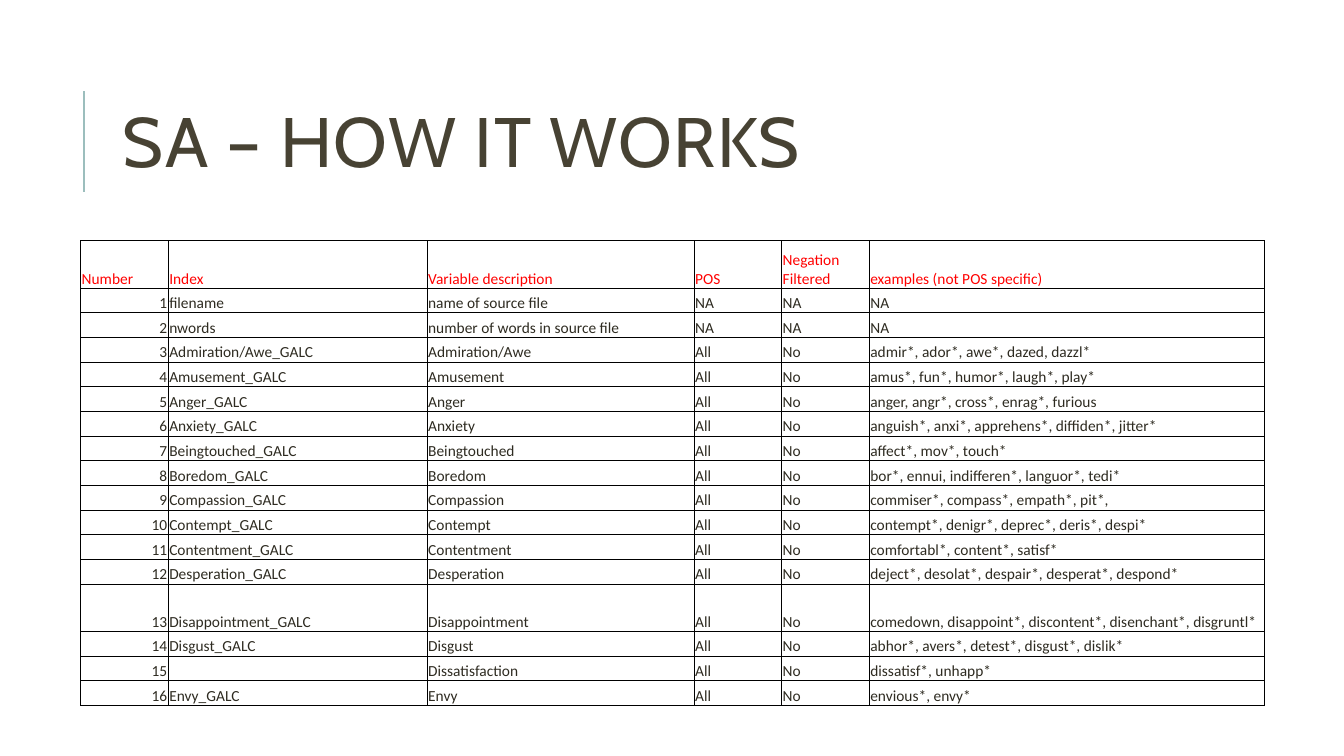
from lxml import etree
from pptx import Presentation
from pptx import util as u
from pptx.dml.color import RGBColor
from pptx.enum import shapes, text
from pptx.oxml import parse_xml
from pptx.oxml.ns import nsdecls, qn

TEAL = RGBColor(0x9C, 0xBE, 0xBD)
BROWN = RGBColor(0x47, 0x42, 0x33)
RED = RGBColor(0xFF, 0x00, 0x00)
INK = RGBColor(0x2E, 0x2B, 0x21)
BLACK = RGBColor(0x00, 0x00, 0x00)

HEADS = ["Number", "Index", "Variable description", "POS",
         "Negation Filtered", "examples (not POS specific)"]
FILES = [("filename", "name of source file"),
         ("nwords", "number of words in source file")]
MOODS = [
    ("Admiration/Awe", "admir*, ador*, awe*, dazed, dazzl*"),
    ("Amusement", "amus*, fun*, humor*, laugh*, play*"),
    ("Anger", "anger, angr*, cross*, enrag*, furious"),
    ("Anxiety", "anguish*, anxi*, apprehens*, diffiden*, jitter*"),
    ("Beingtouched", "affect*, mov*, touch*"),
    ("Boredom", "bor*, ennui, indifferen*, languor*, tedi*"),
    ("Compassion", "commiser*, compass*, empath*, pit*,"),
    ("Contempt", "contempt*, denigr*, deprec*, deris*, despi*"),
    ("Contentment", "comfortabl*, content*, satisf*"),
    ("Desperation", "deject*, desolat*, despair*, desperat*, despond*"),
    ("Disappointment",
     "comedown, disappoint*, discontent*, disenchant*, disgruntl*"),
    ("Disgust", "abhor*, avers*, detest*, disgust*, dislik*"),
    ("Dissatisfaction", "dissatisf*, unhapp*"),
    ("Envy", "envious*, envy*"),
]
BARE = "Dissatisfaction"
COLS = [0.87, 2.57, 2.65, 0.87, 0.87, 3.92]
TALL_ROWS = (0, 13)
TALL = 0.47


def get_rows():
    """Return the table's wording, row by row."""
    body = [(name, note, "NA", "NA", "NA") for name, note in FILES]
    body += [("" if mood == BARE else mood + "_GALC", mood, "All", "No", words)
             for mood, words in MOODS]
    return [HEADS] + [[str(n), *row] for n, row in enumerate(body, 1)]


def add_run(para, words, face, size, color):
    """Add one styled run to a paragraph."""
    run = para.add_run()
    run.text = words
    run.font.name = face
    run.font.size = u.Pt(size)
    run.font.color.rgb = color
    return run


def add_title(slide, left, top, width, height):
    """Place the title and the thin rule at its left."""
    rule = slide.shapes.add_connector(
        shapes.MSO_CONNECTOR.STRAIGHT,
        u.Inches(left - 0.29), u.Inches(top + 1.26),
        u.Inches(left - 0.29), u.Inches(top + 0.26))
    rule.line.color.rgb = TEAL
    rule.line.width = u.Pt(1.5)
    etree.SubElement(rule._element.spPr, qn("a:effectLst"))
    box = slide.shapes.add_textbox(
        u.Inches(left), u.Inches(top), u.Inches(width), u.Inches(height))
    frame = box.text_frame
    frame.word_wrap = True
    frame.vertical_anchor = text.MSO_ANCHOR.MIDDLE
    para = frame.paragraphs[0]
    para.line_spacing = 0.8
    run = add_run(para, "SA – HOW IT WORKS", "Cabin", 50, BROWN)
    run.font._element.set("spc", "100")


def add_edges(cell):
    """Draw thin black borders on all four sides of a cell."""
    props = cell._tc.get_or_add_tcPr()
    for spot, side in enumerate("LRTB"):
        props.insert(spot, parse_xml(
            f'<a:ln{side} {nsdecls("a")} w="9525"><a:solidFill>'
            f'<a:srgbClr val="{BLACK}"/></a:solidFill></a:ln{side}>'))


def fill_cell(cell, words, color, align):
    """Style a cell and write its words."""
    cell.fill.background()
    add_edges(cell)
    cell.margin_left = cell.margin_right = cell.margin_top = u.Inches(0.01)
    cell.margin_bottom = 0
    cell.vertical_anchor = text.MSO_ANCHOR.BOTTOM
    para = cell.text_frame.paragraphs[0]
    para.alignment = align
    if words:
        add_run(para, words, "Calibri", 11, color)
    else:
        para._p.get_or_add_endParaRPr().set("sz", "1100")


def add_grid(slide, left, top, width, height):
    """Place the table of indices in the given box."""
    rows = get_rows()
    low = (height - TALL * len(TALL_ROWS)) / (len(rows) - len(TALL_ROWS))
    grid = slide.shapes.add_table(
        len(rows), len(COLS), u.Inches(left), u.Inches(top),
        u.Inches(width), u.Inches(height)).table
    grid.first_row = grid.horz_banding = False
    for col, size in zip(grid.columns, COLS):
        col.width = u.Inches(size * width / sum(COLS))
    for r, row in enumerate(rows):
        grid.rows[r].height = u.Inches(TALL if r in TALL_ROWS else low)
        for c, words in enumerate(row):
            right = r > 0 and c == 0
            fill_cell(grid.cell(r, c), words, INK if r else RED,
                      text.PP_ALIGN.RIGHT if right else text.PP_ALIGN.LEFT)


def main():
    """Build and save the slide."""
    deck = Presentation()
    deck.slide_width = u.Inches(13.33)
    deck.slide_height = u.Inches(7.5)
    slide = deck.slides.add_slide(deck.slide_layouts[6])
    add_title(slide, 1.12, 0.64, 10.63, 1.64)
    add_grid(slide, 0.8, 2.39, 11.74, 4.61)
    deck.save("out.pptx")


if __name__ == "__main__":
    main()
